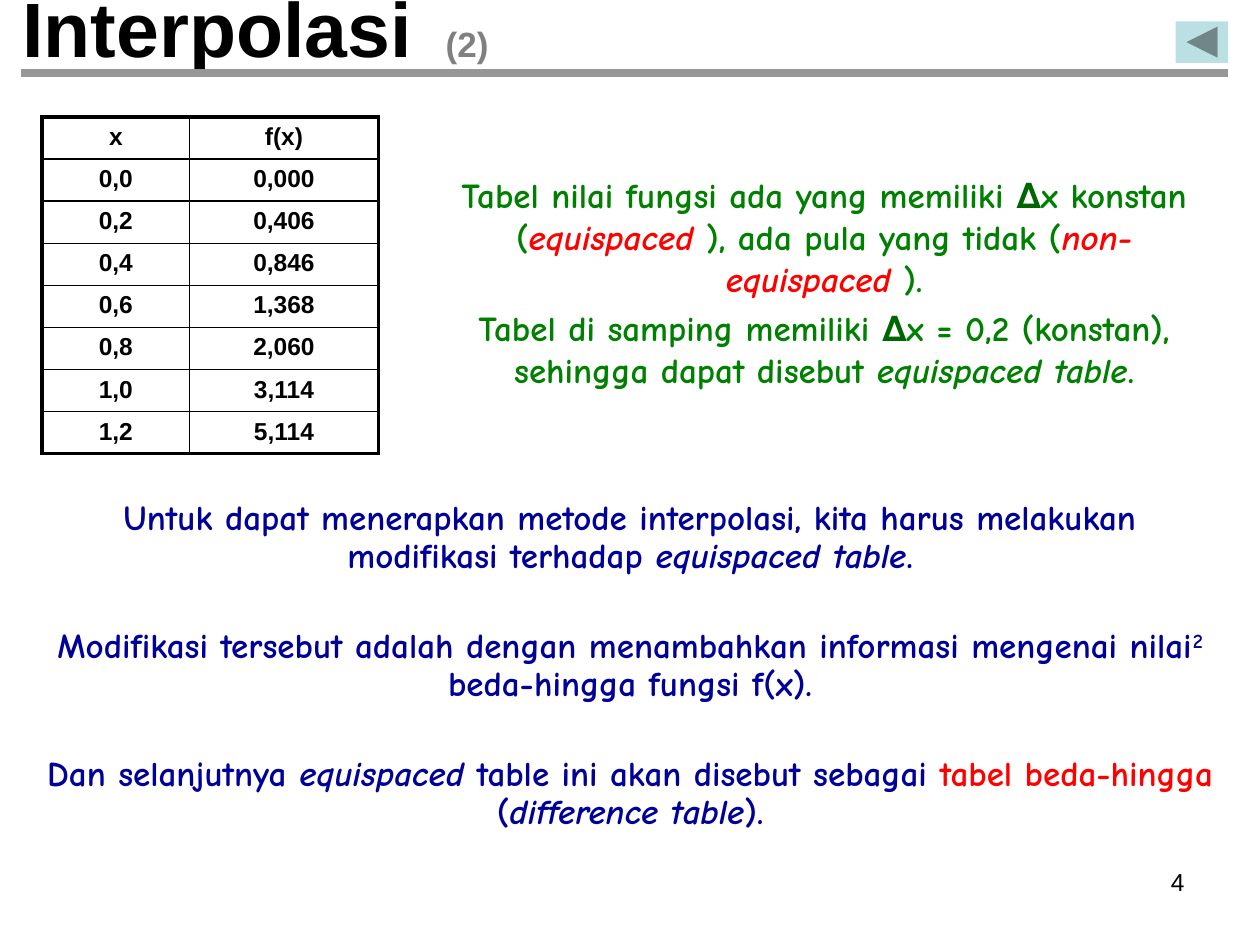
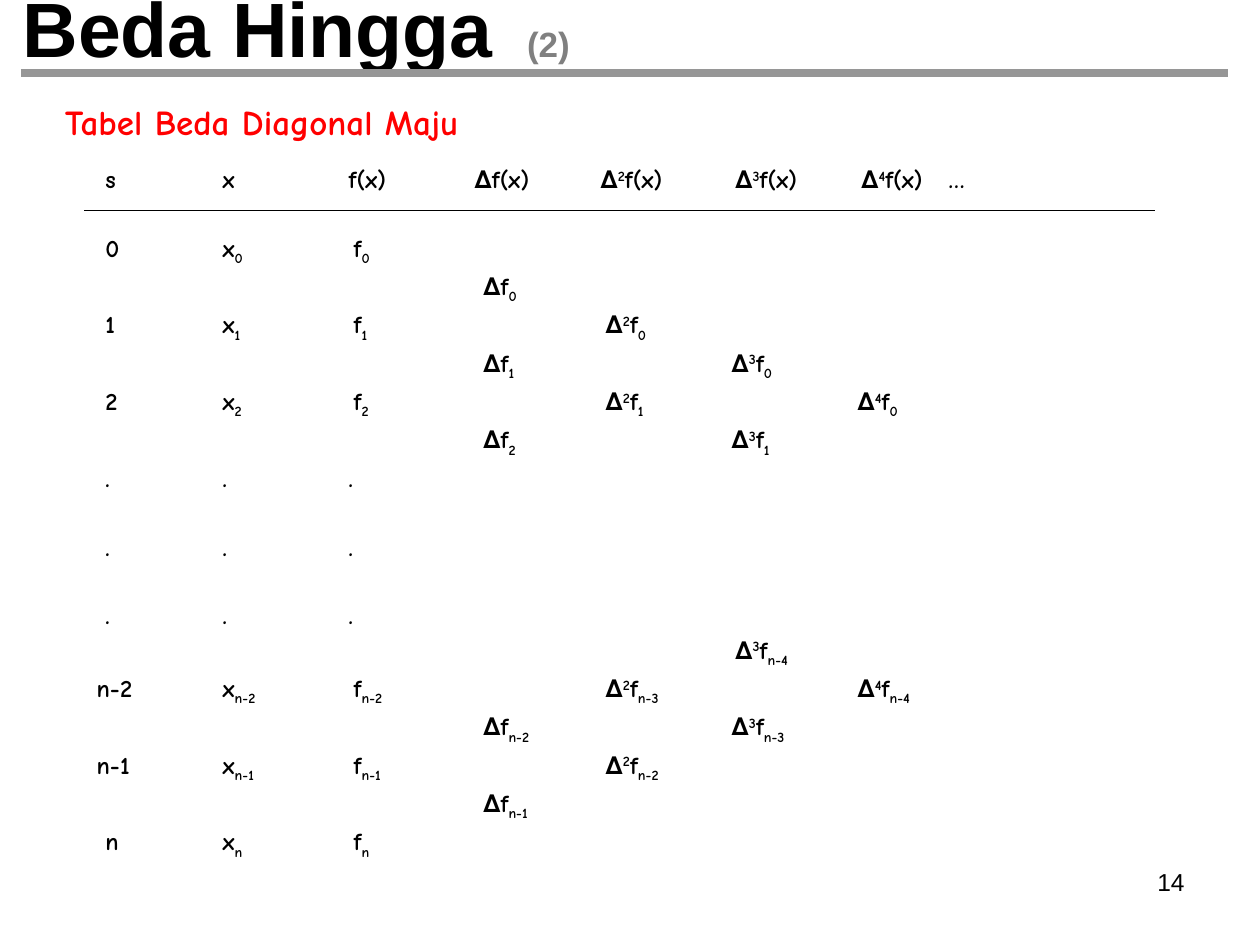
from lxml import etree
from pptx import Presentation
from pptx.dml.color import RGBColor
from pptx.enum.shapes import MSO_CONNECTOR, MSO_SHAPE
from pptx.enum.text import MSO_ANCHOR, MSO_AUTO_SIZE, PP_ALIGN
from pptx.oxml.ns import qn
from pptx.util import Cm, Pt

LEFT, CENTER, RIGHT = PP_ALIGN.LEFT, PP_ALIGN.CENTER, PP_ALIGN.RIGHT
MIDDLE = MSO_ANCHOR.MIDDLE
NO_AUTOFIT = MSO_AUTO_SIZE.NONE
STRAIGHT = MSO_CONNECTOR.STRAIGHT
BACK_BUTTON = MSO_SHAPE.ACTION_BUTTON_BACK_OR_PREVIOUS

PLAIN_FONT, HAND_FONT = "Arial", "Comic Neue"
BLACK, GREY, RULE_GREY = "000000", "808080", "969696"
RED, NAVY, GREEN, DARK_GREEN = "FF0000", "000099", "008000", "006600"
BUTTON_BLUE = "BBE0E3"
SUPER, SUB = 30000, -25000
THIN, THICK = 1, 2.25
TITLE_ONLY = 5

ITALIC = {"italic": True}
RED_ITALIC = {"italic": True, "colour": RED}
DELTA = ("∆", {"colour": DARK_GREEN})

FUNCTION_VALUES = [
    ("x", "f(x)"), ("0,0", "0,000"), ("0,2", "0,406"), ("0,4", "0,846"),
    ("0,6", "1,368"), ("0,8", "2,060"), ("1,0", "3,114"), ("1,2", "5,114"),
]
SPACING_NOTES = [
    [("Tabel nilai fungsi ada yang memiliki ", {}), DELTA, ("x konstan (", {}),
     ("equispaced ", RED_ITALIC), ("), ada pula yang tidak (", {}),
     ("non-equispaced ", RED_ITALIC), (").", {})],
    [("Tabel di samping memiliki ", {}), DELTA,
     ("x = 0,2 (konstan), sehingga dapat disebut ", {}),
     ("equispaced table", ITALIC), (".", {})],
]
MODIFICATION_NOTES = [
    [("Untuk dapat menerapkan metode interpolasi, kita harus melakukan "
      "modifikasi terhadap ", {}), ("equispaced table", ITALIC), (".", {})],
    [("Modifikasi tersebut adalah dengan menambahkan informasi mengenai nilai", {}),
     ("2", {"baseline": SUPER}), (" beda-hingga fungsi f(x).", {})],
    [("Dan selanjutnya ", {}), ("equispaced", ITALIC),
     (" table ini akan disebut sebagai ", {}),
     ("tabel beda-hingga", {"colour": RED}), (" (", {}),
     ("difference table", ITALIC), (").", {})],
]
DIFFERENCE_ROWS = [
    ("0", {}), ("", {1: "0"}), ("1", {2: "0"}), ("", {1: "1", 3: "0"}),
    ("2", {2: "1", 4: "0"}), ("", {1: "2", 3: "1"}),
    (".", {}), (".", {}), (".", {}),
    ("", {3: "n-4"}), ("n-2", {2: "n-3", 4: "n-4"}),
    ("", {1: "n-2", 3: "n-3"}), ("n-1", {2: "n-2"}), ("", {1: "n-1"}), ("n", {}),
]
ROWS_AFTER_GAP = (0, 7, 8)


def rgb(colour):
    """Turn a hex string into a colour."""
    return RGBColor.from_string(colour)


def write(para, spans, size, colour=BLACK, font=PLAIN_FONT, bold=True):
    """Add (text, overrides) spans to a paragraph."""
    for text, changes in spans:
        span = para.add_run()
        span.text = text
        span.font.name = font
        span.font.bold = bold
        span.font.size = Pt(changes.get("size", size))
        span.font.italic = changes.get("italic", False)
        span.font.color.rgb = rgb(changes.get("colour", colour))
        if "baseline" in changes:
            span._r.get_or_add_rPr().set("baseline", str(changes["baseline"]))


def set_tabs(para, stops):
    """Give a paragraph left tab stops, in centimetres."""
    tabs = etree.SubElement(para._p.get_or_add_pPr(), qn("a:tabLst"))
    for stop in stops:
        etree.SubElement(tabs, qn("a:tab"), pos=str(int(Cm(stop))), algn="l")


def add_text(page, box, paragraphs, size, align=LEFT, gap=0, line_spacing=None, **style):
    """Place a wrapping text box and return its paragraphs."""
    frame = page.shapes.add_textbox(*map(Cm, box)).text_frame
    frame.word_wrap = True
    for index, spans in enumerate(paragraphs):
        para = frame.add_paragraph() if index else frame.paragraphs[0]
        para.alignment = align
        para.space_before = Pt(gap if index else 0)
        if line_spacing:
            para.line_spacing = line_spacing
        write(para, spans, size, **style)
    return frame.paragraphs


def add_rule(page, left, top, width, colour, weight):
    """Draw a horizontal line without a shadow."""
    rule = page.shapes.add_connector(STRAIGHT, Cm(left), Cm(top), Cm(left + width), Cm(top))
    rule.line.color.rgb = rgb(colour)
    rule.line.width = Pt(weight)
    etree.SubElement(rule._element.spPr, qn("a:effectLst"))


def add_page(deck, topic, part_stop, number):
    """Start a page with its title, title rule and page number."""
    page = deck.slides.add_slide(deck.slide_layouts[TITLE_ONLY])
    title = page.shapes.title
    title.left, title.top, title.width, title.height = map(Cm, (0.2, -0.64, 22.86, 2.34))
    frame = title.text_frame
    frame.auto_size = NO_AUTOFIT
    frame.vertical_anchor = MIDDLE
    para = frame.paragraphs[0]
    para.alignment = LEFT
    set_tabs(para, [part_stop])
    write(para, [(topic, {}), ("\t(2)", {"size": 20, "colour": GREY})], 44)
    add_rule(page, 0.42, 1.48, 24.34, RULE_GREY, 4.5)
    add_text(page, (18.2, 17.36, 5.93, 1.32), [[(str(number), {})]], 14, RIGHT, bold=False)
    return page


def add_back_button(page, box):
    """Draw the back button."""
    button = page.shapes.add_shape(BACK_BUTTON, *map(Cm, box))
    button.shadow.inherit = False
    button.fill.solid()
    button.fill.fore_color.rgb = rgb(BUTTON_BLUE)
    button.line.fill.background()


def set_borders(cell, weights):
    """Draw black cell borders from a side-to-weight mapping."""
    properties = cell._tc.get_or_add_tcPr()
    for side, weight in weights.items():
        line = etree.SubElement(properties, qn(f"a:ln{side}"), w=str(int(Pt(weight))))
        fill = etree.SubElement(line, qn("a:solidFill"))
        etree.SubElement(fill, qn("a:srgbClr"), val=BLACK)


def add_value_table(page, left, top):
    """Place the table of function values with a heavy outer frame."""
    widths, row_height = (2.97, 3.81), 0.81
    last_row, last_column = len(FUNCTION_VALUES) - 1, len(widths) - 1
    table = page.shapes.add_table(
        last_row + 1, last_column + 1, Cm(left), Cm(top),
        Cm(sum(widths)), Cm(row_height * (last_row + 1))).table
    table.first_row = table.horz_banding = False
    for column, width in zip(table.columns, widths):
        column.width = Cm(width)
    for r, values in enumerate(FUNCTION_VALUES):
        table.rows[r].height = Cm(row_height)
        for c, value in enumerate(values):
            cell = table.cell(r, c)
            set_borders(cell, {
                "L": THIN if c else THICK,
                "R": THICK if c == last_column else THIN,
                "T": THIN if r else THICK,
                "B": THICK if r == last_row else THIN,
            })
            cell.fill.background()
            para = cell.text_frame.paragraphs[0]
            para.alignment = CENTER
            write(para, [(value, {})], 14)


def difference_symbol(order):
    """Return the spans of a forward difference sign."""
    power = [(str(order), {"baseline": SUPER})] if order > 1 else []
    return [("∆", {})] + power


def header_spans():
    """Return the column heads of the difference table."""
    spans = [(" s\tx\tf(x)", {})]
    for order in range(1, 5):
        spans.append(("\t " if order > 2 else "\t", {}))
        spans += difference_symbol(order) + [("f(x)", {})]
    return spans + [("\t…", {})]


def row_spans(label, differences):
    """Return one row of the difference table."""
    if label == ".":
        return [(" .\t.\t.", {})]
    lowered = {"baseline": SUB}
    spans, column = [], 0
    if label:
        lead = " " if len(label) == 1 else ""
        spans = [(f"{lead}{label}\tx", {}), (label, lowered), ("\t ", lowered),
                 ("f", {}), (label, lowered)]
        column = 2
    for order, index in differences.items():
        tabs = "\t" * (order + 2 - column)
        spans.append((tabs + " ", lowered if spans else {}))
        spans += difference_symbol(order) + [("f", {}), (index, lowered)]
        column = order + 2
    return spans


def add_difference_table(page, left, top, width, height):
    """Set the diagonal difference table on tab stops, with a rule under its heads."""
    rows = [header_spans()] + [row_spans(*row) for row in DIFFERENCE_ROWS]
    paras = add_text(page, (left, top, width, height), rows, 14, gap=2.8, font=HAND_FONT)
    for para in paras:
        set_tabs(para, [2.54 * n for n in range(1, 7)] + [17.17])
    for row in ROWS_AFTER_GAP:
        paras[row + 1].space_before = Pt(22.5)
    add_rule(page, left, top + 1.06, 21.59, BLACK, 0.75)


def build_interpolation(deck):
    """Build the page on equispaced tables."""
    page = add_page(deck, "Interpolasi", 8.53, 4)
    add_text(page, (0.64, 9.96, 24.13, 7.19), MODIFICATION_NOTES, 20, CENTER,
             gap=30, line_spacing=0.9, colour=NAVY, font=HAND_FONT)
    add_text(page, (8.26, 3.38, 16.71, 4.88), SPACING_NOTES, 20, CENTER,
             gap=4, colour=GREEN, font=HAND_FONT)
    add_back_button(page, (23.7, 0.43, 1.06, 0.84))
    add_value_table(page, 0.85, 2.36)


def build_differences(deck):
    """Build the page on forward differences."""
    page = add_page(deck, "Beda Hingga", 10.17, 14)
    add_text(page, (0.2, 1.9, 10.16, 1.07), [[("Tabel Beda Diagonal Maju", {})]], 20,
             CENTER, colour=RED, font=HAND_FONT)
    add_difference_table(page, 1.7, 3.18, 23.29, 13.77)


def main():
    """Build and save the deck."""
    deck = Presentation()
    deck.slide_width, deck.slide_height = Cm(25.4), Cm(19.05)
    build_interpolation(deck)
    build_differences(deck)
    deck.save("out.pptx")


if __name__ == "__main__":
    main()
